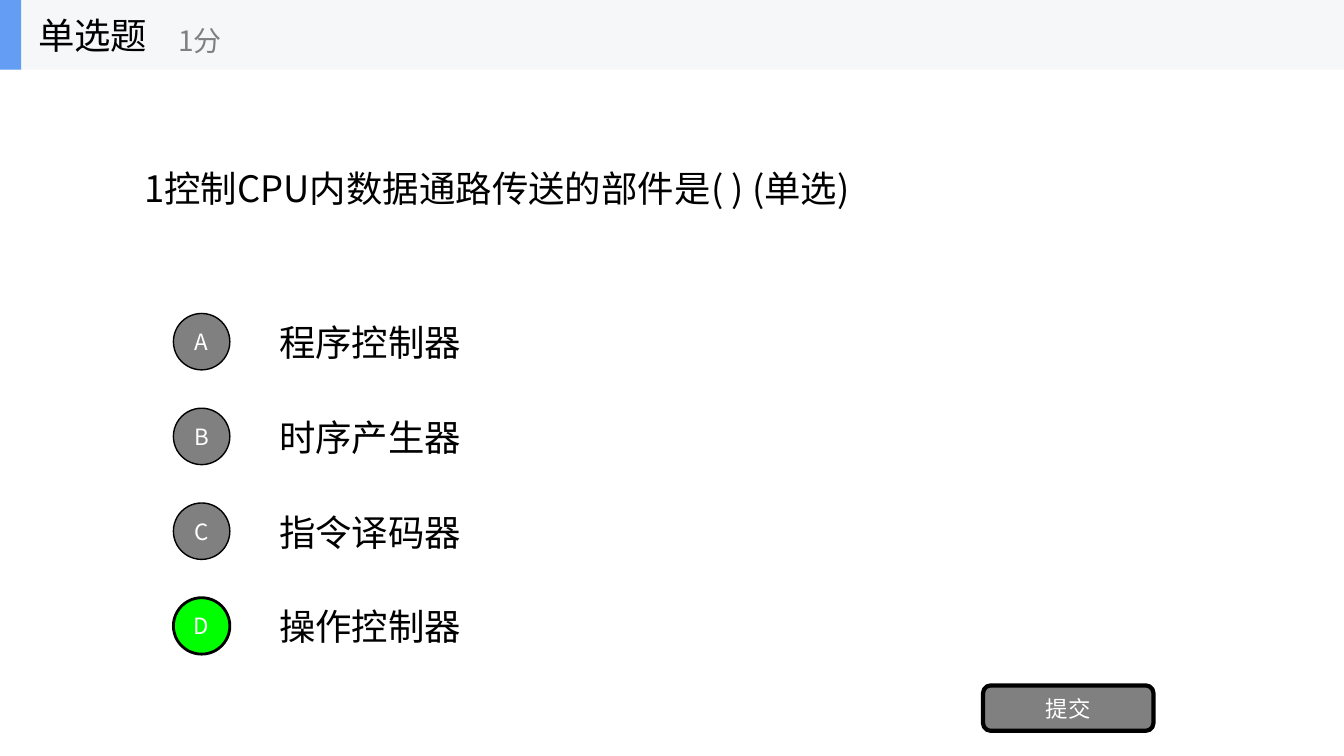
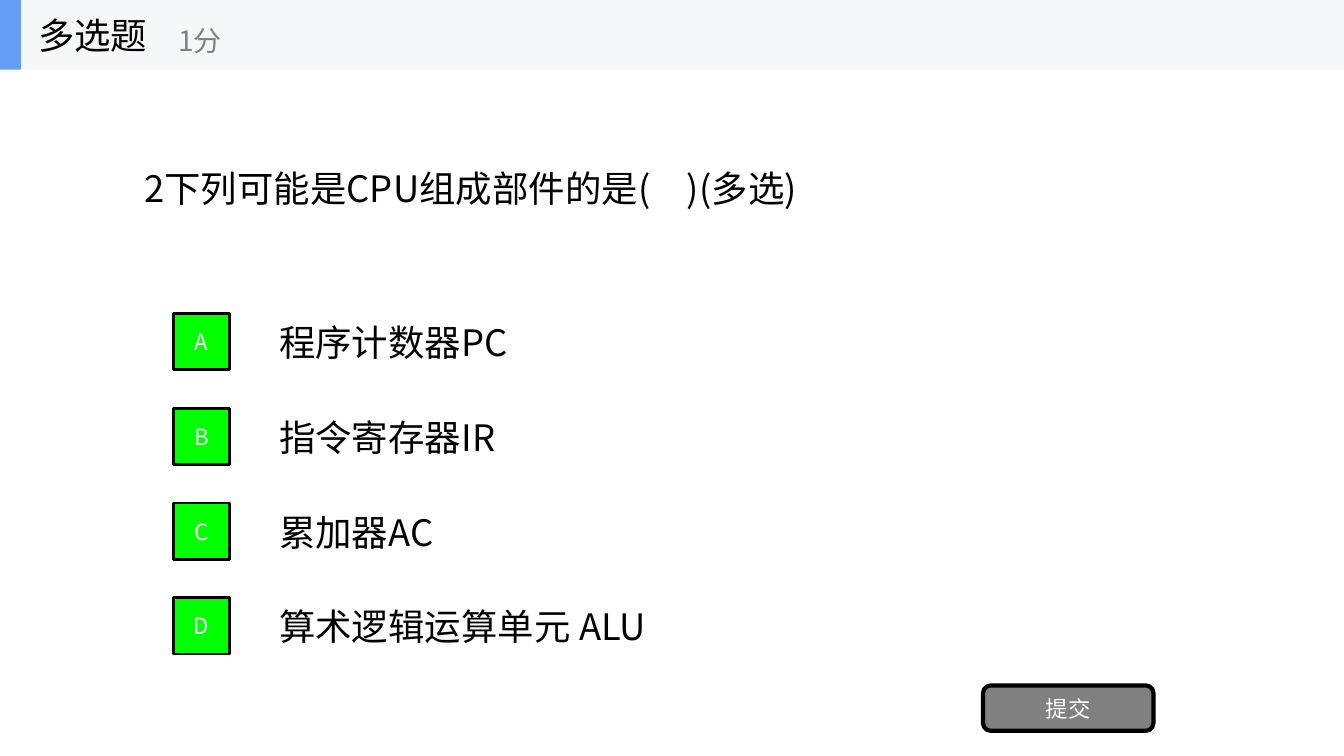
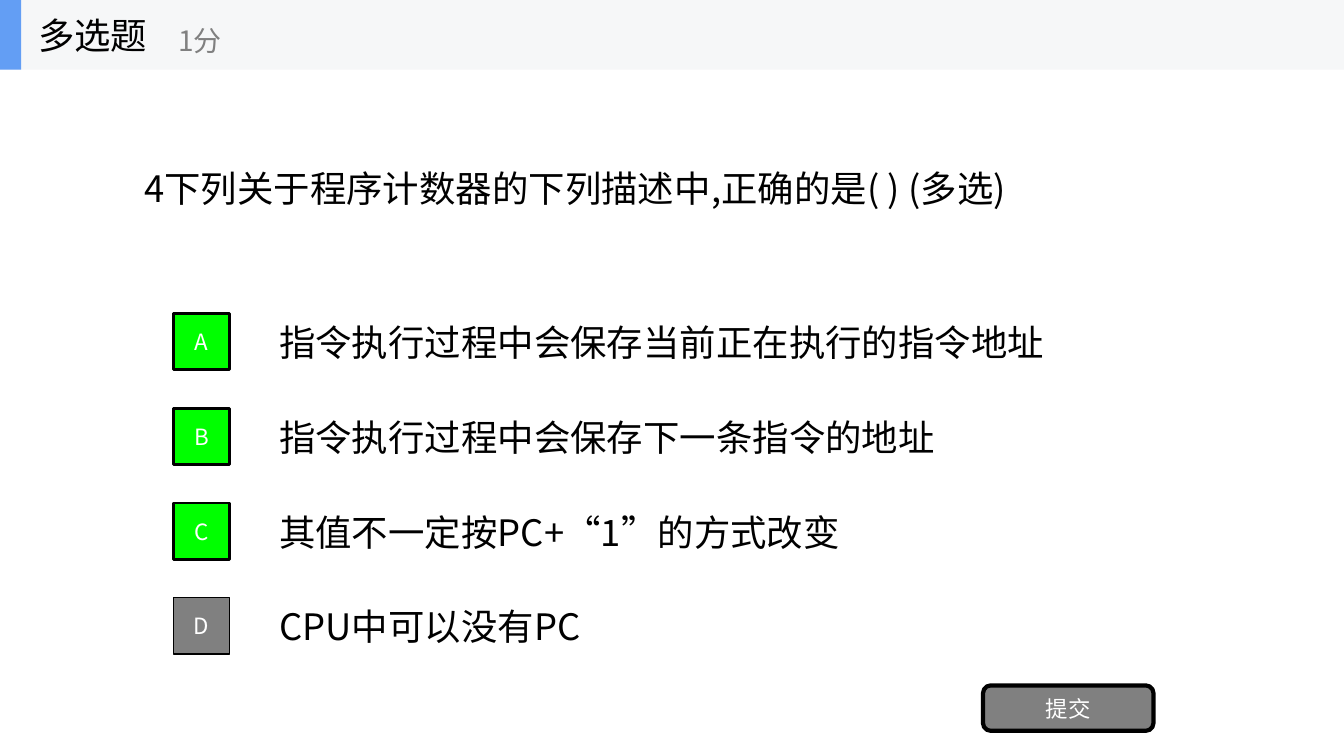
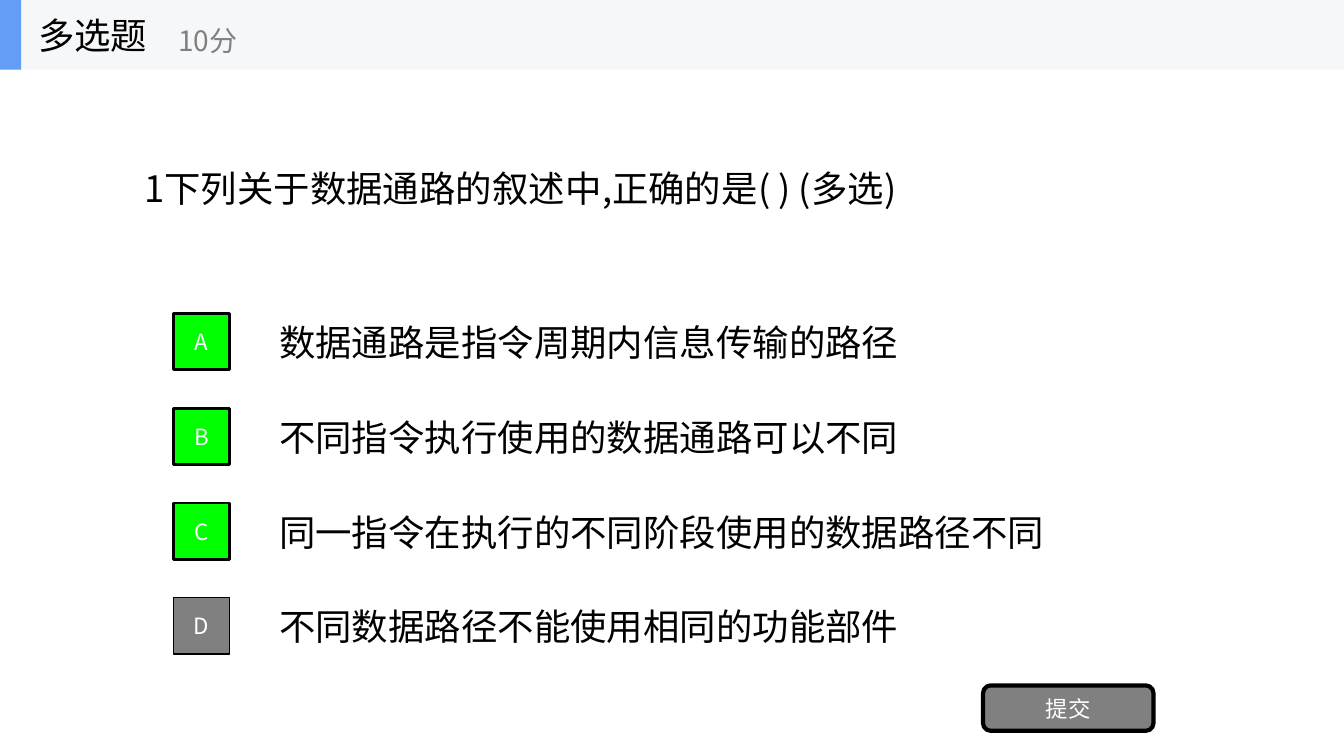
import pptx
import pptx.dml.color
import pptx.enum.shapes
import pptx.enum.text
import pptx.oxml
import pptx.oxml.ns
import pptx.util

Inches = pptx.util.Inches
SHAPE = pptx.enum.shapes.MSO_SHAPE
ALIGN = pptx.enum.text.PP_ALIGN
FIT = pptx.enum.text.MSO_AUTO_SIZE

# Shared look
FONT = "Noto Sans CJK SC"
COLORS = {
    "ink": "000000",
    "paper": "FFFFFF",
    "band": "F6F7F8",
    "accent": "639EF4",
    "muted": "808080",
    "correct": "00FF00",
}
STYLES = {
    "main": {"size": 26, "color": "ink"},
    "score": {"size": 20, "color": "muted"},
    "label": {"size": 16, "color": "paper"},
}
SLIDE_WIDTH, SLIDE_HEIGHT = 13.33, 7.5
BAND_HEIGHT = 0.69
LINE_HEIGHT = 0.53
BADGE_LEFT, BADGE_TOP, BADGE_SIZE = 1.72, 3.11, 0.56
OPTION_LEFT, OPTION_STEP = 2.67, 0.94

# Each question: kind, score, wording, its width, options as (wording, width), answers
QUESTIONS = [
    {
        "kind": "单选题", "score": "1分", "badge": SHAPE.OVAL, "answers": "D",
        "text": "1控制CPU内数据通路传送的部件是( ) (单选)", "width": 7.47,
        "options": [("程序控制器", 2.11), ("时序产生器", 2.11),
                    ("指令译码器", 2.11), ("操作控制器", 2.11)],
    },
    {
        "kind": "多选题", "score": "1分", "badge": SHAPE.RECTANGLE, "answers": "ABCD",
        "text": "2下列可能是CPU组成部件的是(　)(多选)", "width": 6.96,
        "options": [("程序计数器PC", 2.58), ("指令寄存器IR", 2.46),
                    ("累加器AC", 1.88), ("算术逻辑运算单元 ALU", 4.01)],
    },
    {
        "kind": "多选题", "score": "1分", "badge": SHAPE.RECTANGLE, "answers": "ABC",
        "text": "4下列关于程序计数器的下列描述中,正确的是( ) (多选)", "width": 9.1,
        "options": [("指令执行过程中会保存当前正在执行的指令地址", 7.89),
                    ("指令执行过程中会保存下一条指令的地址", 6.81),
                    ("其值不一定按PC+“1”的方式改变", 5.94),
                    ("CPU中可以没有PC", 3.31)],
    },
    {
        "kind": "多选题", "score": "10分", "badge": SHAPE.RECTANGLE, "answers": "ABC",
        "text": "1下列关于数据通路的叙述中,正确的是( ) (多选)", "width": 8.02,
        "options": [("数据通路是指令周期内信息传输的路径", 6.45),
                    ("不同指令执行使用的数据通路可以不同", 6.45),
                    ("同一指令在执行的不同阶段使用的数据路径不同", 7.89),
                    ("不同数据路径不能使用相同的功能部件", 6.45)],
    },
]


def rgb(name):
    return pptx.dml.color.RGBColor.from_string(COLORS[name])


def write(box, text, style, align=ALIGN.LEFT, fit=FIT.NONE):
    """Put one formatted line of text into a shape."""
    frame = box.text_frame
    frame_format = {
        "word_wrap": True,
        "auto_size": fit,
        "vertical_anchor": pptx.enum.text.MSO_ANCHOR.MIDDLE,
    }
    for name, value in frame_format.items():
        setattr(frame, name, value)
    para = frame.paragraphs[0]
    para.alignment = align
    span = para.add_run()
    span.text = text
    span.font.size = pptx.util.Pt(STYLES[style]["size"])
    span.font.color.rgb = rgb(STYLES[style]["color"])
    span.font.name = FONT
    # East Asian characters take their typeface from a:ea
    latin = span._r.rPr.find(pptx.oxml.ns.qn("a:latin"))
    latin.addnext(pptx.oxml.parse_xml(
        f'<a:ea {pptx.oxml.ns.nsdecls("a")} typeface="{FONT}"/>'))


def add_text(shapes, place, text, style, fit=FIT.NONE):
    box = shapes.add_textbox(*map(Inches, place))
    write(box, text, style, fit=fit)


def add_block(shapes, kind, place, fill, line_width=0, label=None):
    """Add a filled shape, outlined and labelled if asked."""
    block = shapes.add_shape(kind, *map(Inches, place))
    block.shadow.inherit = False
    block.fill.solid()
    block.fill.fore_color.rgb = rgb(fill)
    if line_width:
        block.line.color.rgb = rgb("ink")
        block.line.width = pptx.util.Pt(line_width)
    else:
        block.line.fill.background()
    if label:
        write(block, label, "label", ALIGN.CENTER)


def add_question(slide, text, width):
    title = slide.shapes.title
    place = {"left": 1.33, "top": 1.6, "width": width, "height": LINE_HEIGHT}
    for name, value in place.items():
        setattr(title, name, Inches(value))
    write(title, text, "main", fit=FIT.SHAPE_TO_FIT_TEXT)


def add_options(slide, question):
    for row, (text, width) in enumerate(question["options"]):
        letter = "ABCD"[row]
        top = BADGE_TOP + row * OPTION_STEP
        add_text(slide.shapes, (OPTION_LEFT, top + 0.02, width, LINE_HEIGHT),
                 text, "main", FIT.SHAPE_TO_FIT_TEXT)
        fill, line_width = ("correct", 2) if letter in question["answers"] else ("muted", 1)
        add_block(slide.shapes, question["badge"],
                  (BADGE_LEFT, top, BADGE_SIZE, BADGE_SIZE), fill, line_width, letter)


def add_header(slide, kind, score):
    shapes = slide.shapes.add_group_shape().shapes
    add_block(shapes, SHAPE.RECTANGLE, (0, 0, SLIDE_WIDTH, BAND_HEIGHT), "band")
    add_block(shapes, SHAPE.RECTANGLE, (0, 0, 0.21, BAND_HEIGHT), "accent")
    add_text(shapes, (0.28, 0, 2.08, BAND_HEIGHT), kind, "main")
    add_text(shapes, (1.67, 0.12, 2.5, 0.56), score, "score")


def main():
    deck = pptx.Presentation()
    deck.slide_width = Inches(SLIDE_WIDTH)
    deck.slide_height = Inches(SLIDE_HEIGHT)
    title_only = deck.slide_layouts.get_by_name("Title Only")
    for question in QUESTIONS:
        slide = deck.slides.add_slide(title_only)
        add_question(slide, question["text"], question["width"])
        add_options(slide, question)
        # Submit button
        add_block(slide.shapes, SHAPE.ROUNDED_RECTANGLE, (9.75, 6.8, 1.69, 0.45),
                  "muted", 3, "提交")
        add_header(slide, question["kind"], question["score"])
    deck.save("out.pptx")


if __name__ == "__main__":
    main()
